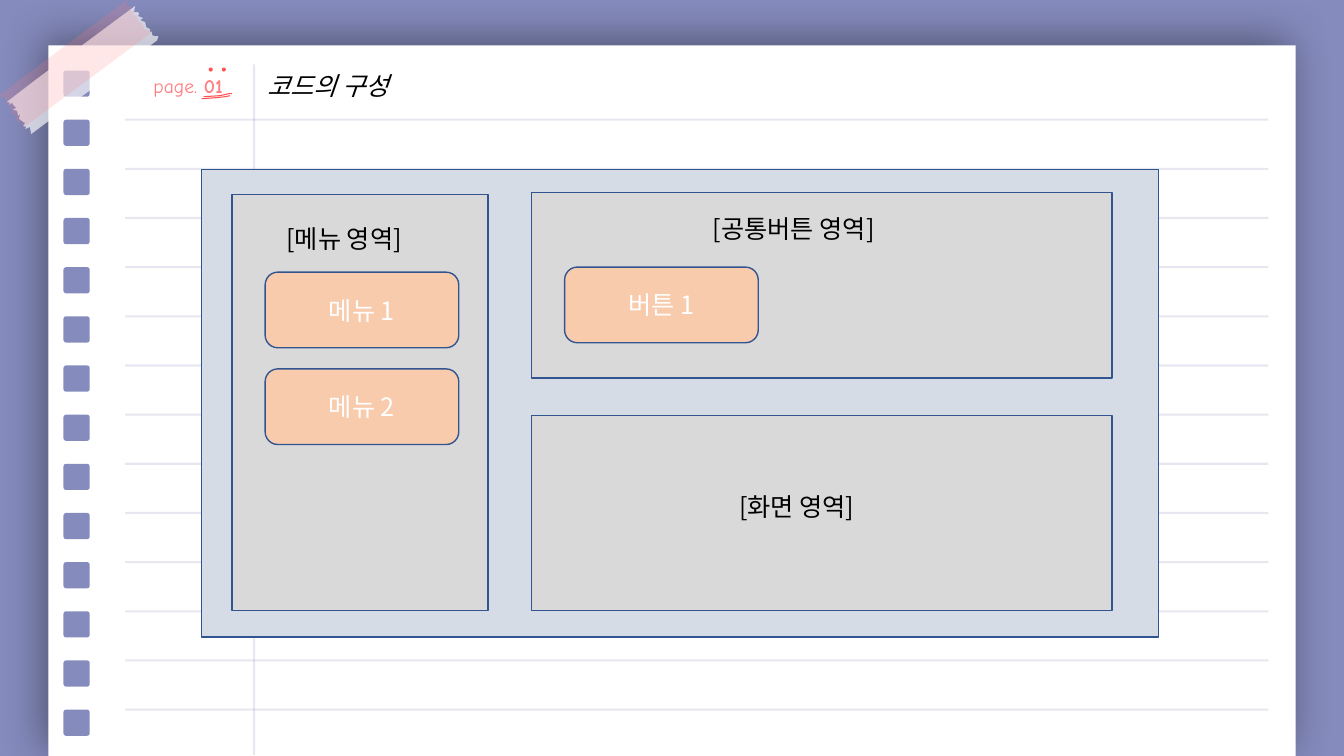
"""Build a notebook-style slide that shows the screen areas of a program."""
from dataclasses import dataclass

import lxml.etree
import pptx
import pptx.dml.color
import pptx.enum.shapes
import pptx.enum.text
import pptx.oxml.ns
import pptx.util

Inches = pptx.util.Inches
SHAPE = pptx.enum.shapes.MSO_SHAPE
ALIGN = pptx.enum.text.PP_ALIGN
ANCHOR = pptx.enum.text.MSO_ANCHOR

COLORS = {
    "purple": "858BBD", "white": "FFFFFF", "black": "000000", "pink": "FF7C80",
    "red": "FF5050", "board": "D6DCE5", "area": "D9D9D9", "button": "F8CBAD",
    "border": "325491",
}
KOREAN = "Noto Sans CJK KR"
LATIN = "Comic Neue"
FIRST_TOP, PITCH, ROWS = 0.7, 6.34 / 13, 14
TAPE = [
    (37, 78), (134, 6), (133, 12), (136, 12), (138, 13), (137, 16), (142, 18),
    (139, 20), (144, 22), (145, 27), (149, 29), (149, 33), (150, 31), (151, 33),
    (151, 35), (154, 36), (157, 36), (156, 40), (31, 133), (30, 128), (30, 126),
    (25, 128), (26, 126), (23, 125), (25, 122), (23, 121), (19, 118), (20, 113),
    (18, 115), (17, 110), (13, 109), (16, 107), (13, 104), (12, 102), (9, 104),
    (10, 102), (7, 101),
]
UNDERLINES = [
    [(200, 98), (214, 97), (223, 96), (228, 95)],
    [(202, 96), (218, 95), (227, 93), (230, 93)],
]


@dataclass
class Box:
    """A preset shape with an optional border and centred label."""
    left: float
    top: float
    width: float
    height: float
    fill: str
    kind: SHAPE = SHAPE.RECTANGLE
    border: str = ""
    label: str = ""


@dataclass
class Caption:
    """A left-aligned text on the slide."""
    left: float
    top: float
    width: float
    text: str


BOARD = [
    Box(2, 1.68, 9.49, 4.64, "board", border="border"),
    Box(2.3, 1.93, 2.54, 4.13, "area", border="border"),
    Box(5.27, 1.91, 5.76, 1.84, "area", border="border"),
    Box(5.27, 4.12, 5.76, 1.94, "area", border="border"),
]
CAPTIONS = [
    Caption(2.52, 2.17, 2.04, "[메뉴 영역]"),
    Caption(6.75, 2.07, 2.38, "[공통버튼 영역]"),
    Caption(7.01, 4.83, 2.04, "[화면 영역]"),
]
BUTTONS = [
    Box(left, top, 1.92, 0.75, "button", SHAPE.ROUNDED_RECTANGLE, "border", label)
    for left, top, label in [(5.6, 2.65, "버튼 1"), (2.63, 2.7, "메뉴 1"), (2.63, 3.66, "메뉴 2")]
]


def rgb(name: str) -> pptx.dml.color.RGBColor:
    """Return a named colour."""
    return pptx.dml.color.RGBColor.from_string(COLORS[name])


def add_xml(parent, tag: str, **attrs):
    """Append a child element such as a:ea and return it."""
    child = lxml.etree.SubElement(parent, pptx.oxml.ns.qn(tag))
    for key, value in attrs.items():
        child.set(key, str(value))
    return child


def set_alpha(element, percent: int) -> None:
    """Make the first colour inside an element partly opaque."""
    color = next(element.iter(pptx.oxml.ns.qn("a:srgbClr")))
    add_xml(color, "a:alpha", val=percent * 1000)


def add_run(p, text: str, size: int, font: str, color: str, bold=False, italic=False) -> None:
    """Append a formatted run to a paragraph."""
    r = p.add_run()
    r.text = text
    r.font.size = pptx.util.Pt(size)
    r.font.name = font
    r.font.bold = bold
    r.font.italic = italic
    r.font.color.rgb = rgb(color)
    add_xml(r.font._element, "a:ea", typeface=font)


def add_box(s, box: Box):
    """Draw a box and return its shape."""
    sp = s.shapes.add_shape(box.kind, Inches(box.left), Inches(box.top),
                            Inches(box.width), Inches(box.height))
    sp.shadow.inherit = False
    sp.fill.solid()
    sp.fill.fore_color.rgb = rgb(box.fill)
    if box.border:
        sp.line.color.rgb = rgb(box.border)
        sp.line.width = pptx.util.Pt(1)
    else:
        sp.line.fill.background()
    if box.label:
        sp.text_frame.vertical_anchor = ANCHOR.MIDDLE
        p = sp.text_frame.paragraphs[0]
        p.alignment = ALIGN.CENTER
        add_run(p, box.label, 18, KOREAN, "white")
    return sp


def add_rule(s, x1: float, y1: float, x2: float, y2: float) -> None:
    """Draw a pale notebook line."""
    line = s.shapes.add_connector(pptx.enum.shapes.MSO_CONNECTOR.STRAIGHT,
                                  Inches(x1), Inches(y1), Inches(x2), Inches(y2))
    line.line.color.rgb = rgb("purple")
    line.line.width = pptx.util.Pt(1.5)
    sp_pr = line._element.spPr
    set_alpha(sp_pr, 20)
    add_xml(sp_pr, "a:effectLst")


def add_outline(s, points: list[tuple[int, int]], close: bool):
    """Draw a freeform from points in hundredths of an inch."""
    builder = s.shapes.build_freeform(*points[0], scale=Inches(0.01))
    builder.add_line_segments(points[1:], close=close)
    sp = builder.convert_to_shape()
    sp.shadow.inherit = False
    return sp


def add_textbox(s, left: float, top: float, width: float, height: float):
    """Add a wrapping text box and return its text frame."""
    tf = s.shapes.add_textbox(Inches(left), Inches(top), Inches(width), Inches(height)).text_frame
    tf.word_wrap = True
    return tf


def draw_notebook(s) -> None:
    """Draw the sheet with its shadow, holes and lines."""
    sheet = add_box(s, Box(0.48, 0.45, 12.37, 7.05, "white"))
    effects = sheet._element.spPr.find(pptx.oxml.ns.qn("a:effectLst"))
    shadow = add_xml(effects, "a:outerShdw", blurRad=pptx.util.Pt(31), dist=pptx.util.Pt(5),
                     dir=225 * 60000, algn="ctr", rotWithShape=0)
    add_xml(shadow, "a:srgbClr", val=COLORS["black"])
    set_alpha(shadow, 40)
    tops = [FIRST_TOP + PITCH * i for i in range(ROWS)]
    for top in tops:
        hole = add_box(s, Box(0.63, top, 0.26, 0.26, "purple", SHAPE.ROUNDED_RECTANGLE))
        hole.adjustments[0] = 0.1
    for top in tops[1:]:
        add_rule(s, 1.24, top, 12.58, top)
    add_rule(s, 2.52, 0.64, 2.52, 7.49)


def draw_tape(s) -> None:
    """Draw the two translucent layers of tape."""
    for dx, dy, color, alpha in [(0, 0, "white", 65), (-8, -6, "pink", 19)]:
        tape = add_outline(s, [(x + dx, y + dy) for x, y in TAPE], True)
        tape.fill.solid()
        tape.fill.fore_color.rgb = rgb(color)
        set_alpha(tape._element.spPr, alpha)
        tape.line.fill.background()


def draw_heading(s) -> None:
    """Draw the page number and place the title."""
    p = add_textbox(s, 1.29, 0.68, 1.15, 0.34).paragraphs[0]
    p.alignment = ALIGN.CENTER
    add_run(p, "page. ", 14, LATIN, "pink")
    add_run(p, "01", 14, LATIN, "pink", bold=True)
    for points in UNDERLINES:
        stroke = add_outline(s, points, False)
        stroke.fill.background()
        stroke.line.color.rgb = rgb("red")
        stroke.line.width = pptx.util.Pt(0.75)
    for left in (2.07, 2.2):
        add_box(s, Box(left, 0.67, 0.04, 0.04, "red", SHAPE.OVAL))
    title = s.shapes.title
    s.shapes._spTree.append(title._element)
    title.left, title.top = Inches(2.55), Inches(0.65)
    title.width, title.height = Inches(5.91), Inches(0.4)
    tf = title.text_frame
    tf.auto_size = pptx.enum.text.MSO_AUTO_SIZE.NONE
    tf.vertical_anchor = ANCHOR.TOP
    tf.paragraphs[0].alignment = ALIGN.LEFT
    add_run(tf.paragraphs[0], "코드의 구성", 18, KOREAN, "black", italic=True)


def draw_board(s) -> None:
    """Draw the screen areas, their captions and buttons."""
    for box in BOARD:
        add_box(s, box)
    for caption in CAPTIONS:
        tf = add_textbox(s, caption.left, caption.top, caption.width, 0.4)
        tf.margin_left = Inches(0.32)
        add_run(tf.paragraphs[0], caption.text, 18, KOREAN, "black")
    for button in BUTTONS:
        add_box(s, button)


def main() -> None:
    """Build and save the slide."""
    prs = pptx.Presentation()
    prs.slide_width, prs.slide_height = Inches(13.33), Inches(7.5)
    s = prs.slides.add_slide(prs.slide_layouts[5])
    s.background.fill.solid()
    s.background.fill.fore_color.rgb = rgb("purple")
    draw_notebook(s)
    draw_tape(s)
    draw_heading(s)
    draw_board(s)
    prs.save("out.pptx")


if __name__ == "__main__":
    main()
